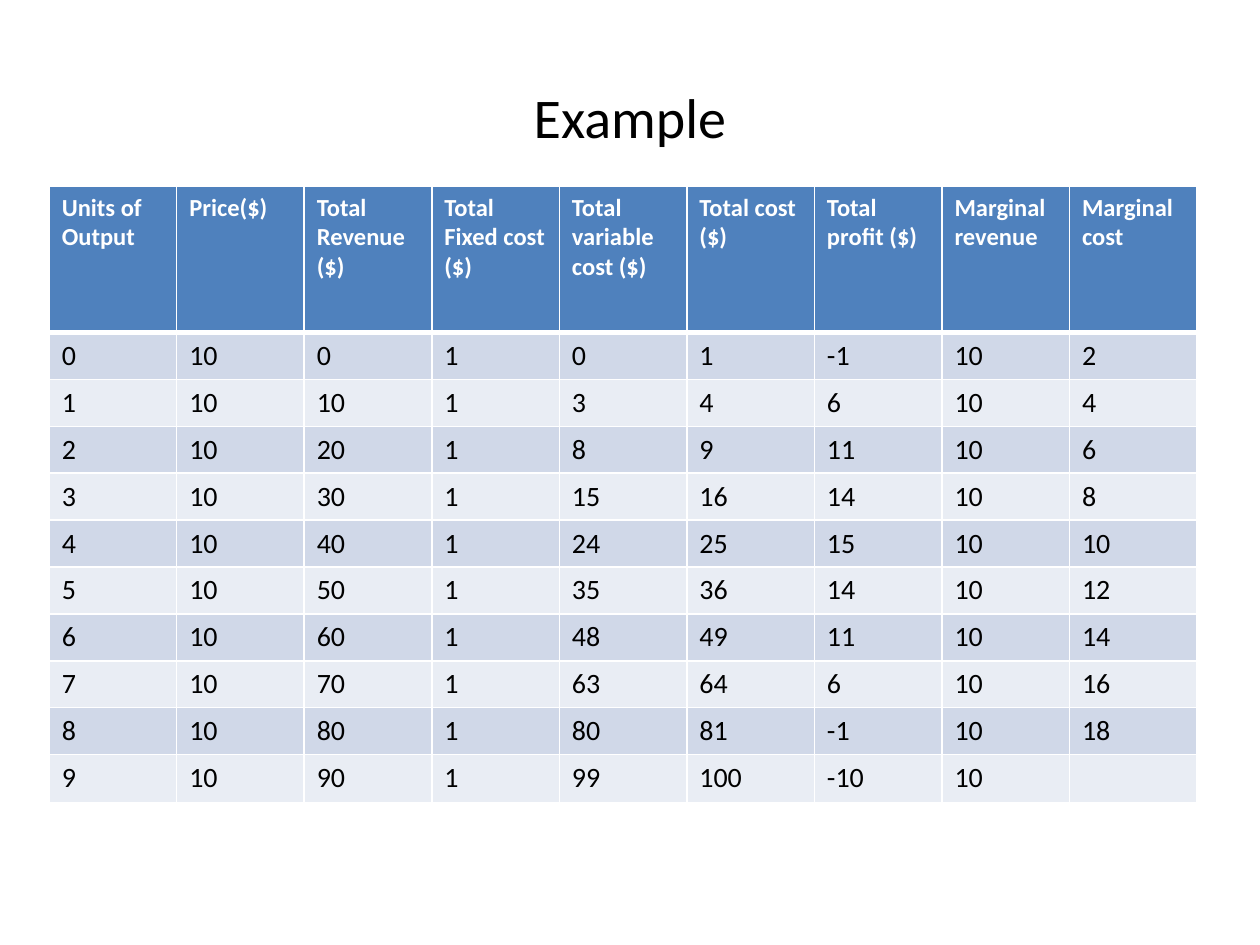
import pptx
import pptx.dml.color
import pptx.enum.text
import pptx.oxml.ns
import pptx.util
from lxml import etree

Inches = pptx.util.Inches
Pt = pptx.util.Pt


def color(code):
    return pptx.dml.color.RGBColor.from_string(code)


class Deck:
    font = "Calibri"
    dark, light = "000000", "FFFFFF"
    head, bands = "4F81BD", ("D0D8E8", "E9EDF4")

    def __init__(self):
        self.prs = pptx.Presentation()
        self.prs.slide_width = Inches(10)
        self.prs.slide_height = Inches(7.5)
        self.slide = self.prs.slides.add_slide(self.prs.slide_layouts[5])

    def put(self, para, text, size, code, bold=False):
        run = para.add_run()
        run.text = text
        run.font.name = self.font
        run.font.size = Pt(size)
        run.font.bold = bold
        run.font.color.rgb = color(code)

    def title(self, text, left, top, width, height):
        shape = self.slide.shapes.title
        shape.left, shape.top = Inches(left), Inches(top)
        shape.width, shape.height = Inches(width), Inches(height)
        frame = shape.text_frame
        frame.vertical_anchor = pptx.enum.text.MSO_ANCHOR.MIDDLE
        para = frame.paragraphs[0]
        para.alignment = pptx.enum.text.PP_ALIGN.CENTER
        self.put(para, text, 32, self.dark)

    def border(self, cell, widths):
        props = cell._tc.get_or_add_tcPr()
        for side, width in zip("LRTB", widths):
            line = etree.SubElement(props, pptx.oxml.ns.qn(f"a:ln{side}"), w=str(Pt(width)))
            fill = etree.SubElement(line, pptx.oxml.ns.qn("a:solidFill"))
            etree.SubElement(fill, pptx.oxml.ns.qn("a:srgbClr"), val=self.light)

    def table(self, rows, left, top, width, tall, short):
        height = tall + short * (len(rows) - 1)
        grid = self.slide.shapes.add_table(
            len(rows), len(rows[0]), Inches(left), Inches(top), Inches(width), Inches(height)
        ).table
        for i, row in enumerate(rows):
            first = i == 0
            grid.rows[i].height = Inches(tall if first else short)
            for j, text in enumerate(row):
                cell = grid.cell(i, j)
                self.border(cell, (1, 1, 3 if i == 1 else 1, 3 if first else 1))
                cell.fill.solid()
                cell.fill.fore_color.rgb = color(self.head if first else self.bands[(i - 1) % 2])
                para = cell.text_frame.paragraphs[0]
                if first:
                    self.put(para, text, 14, self.light, True)
                else:
                    self.put(para, text, 16, self.dark)


def costs(last=9, price=10, fixed=1):
    rows = []
    for units in range(last + 1):
        sales = price * units
        extra = units * (units + 2)
        total = fixed + extra
        step = 2 * units + 2 if units < last else ""
        row = (units, price, sales, fixed, extra, total, sales - total, price, step)
        rows.append([str(value) for value in row])
    return rows


def main():
    heads = [
        "Units of Output", "Price($)", "Total Revenue ($)",
        "Total Fixed cost ($)", "Total variable cost ($)", "Total cost ($)",
        "Total profit ($)", "Marginal revenue", "Marginal cost",
    ]
    deck = Deck()
    deck.title("Example", 0.5, 0.3, 9, 1.25)
    deck.table([heads] + costs(), 0.39, 1.48, 9.11, 1.16, 0.37)
    deck.prs.save("out.pptx")


if __name__ == "__main__":
    main()
